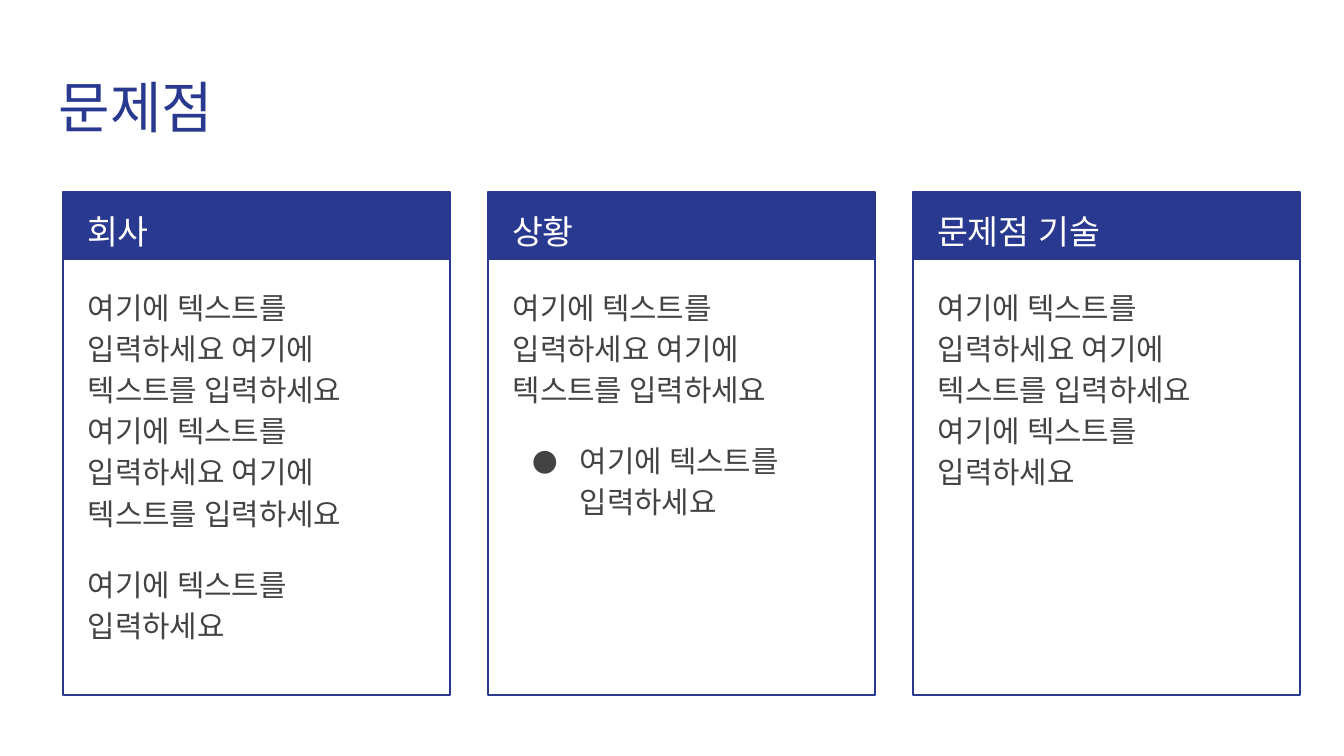
import copy

import pptx
import pptx.dml.color
import pptx.enum.shapes
import pptx.enum.text
import pptx.oxml
import pptx.oxml.ns
import pptx.util

EMU_PER_PX = 914400 / 134.4
NAVY = pptx.dml.color.RGBColor(0x2A, 0x39, 0x90)
WHITE = pptx.dml.color.RGBColor(0xFF, 0xFF, 0xFF)
GRAY = pptx.dml.color.RGBColor(0x43, 0x43, 0x43)
FONT = "Roboto"

CARD_LEFT, CARD_TOP, CARD_STEP = 63, 192, 425
CARD_WIDTH, CARD_HEIGHT, HEADER_HEIGHT = 387, 503, 68
INSET = 13
BULLET_MARGIN, BULLET_INDENT = 67, -48

PROMPT = "여기에 텍스트를 입력하세요"
# Each card: heading, then paragraphs as (text, bulleted, space before in points)
CARDS = [
    ("회사", [(" ".join([PROMPT] * 4), False, 0), (PROMPT, False, 16)]),
    ("상황", [(" ".join([PROMPT] * 2), False, 0), (PROMPT, True, 16)]),
    ("문제점 기술", [(" ".join([PROMPT] * 3), False, 0)]),
]


def px(value):
    return pptx.util.Emu(round(value * EMU_PER_PX))


def drawing_element(tag, content="", **attributes):
    """Make an element of the DrawingML namespace."""
    values = " ".join(f'{name}="{value}"' for name, value in attributes.items())
    namespace = pptx.oxml.ns.nsdecls("a")
    return pptx.oxml.parse_xml(f"<a:{tag} {namespace} {values}>{content}</a:{tag}>")


def add_body_placeholders(layout, count):
    """Extend the layout to hold count body placeholders."""
    body = layout.placeholders[1].element
    for number in range(20, 19 + count):
        extra = copy.deepcopy(body)
        extra.xpath(".//p:cNvPr")[0].set("id", str(number))
        extra.xpath(".//p:ph")[0].set("idx", str(number))
        body.getparent().append(extra)


def place(shape, left, top, width, height):
    """Position a placeholder, bring it to the front and set its frame."""
    shape.left, shape.top = px(left), px(top)
    shape.width, shape.height = px(width), px(height)
    shape.element.getparent().append(shape.element)
    frame = shape.text_frame
    frame.word_wrap = True
    frame.auto_size = pptx.enum.text.MSO_AUTO_SIZE.NONE
    frame.vertical_anchor = pptx.enum.text.MSO_ANCHOR.TOP
    frame.margin_left = frame.margin_right = px(INSET)
    frame.margin_top = frame.margin_bottom = px(INSET)


def format_paragraph(paragraph, size, color, line_spacing=1.15, space_before=0):
    paragraph.alignment = pptx.enum.text.PP_ALIGN.LEFT
    paragraph.line_spacing = line_spacing
    paragraph.space_before = pptx.util.Pt(space_before)
    paragraph.space_after = pptx.util.Pt(0)
    for run in paragraph.runs:
        run.font.size = pptx.util.Pt(size)
        run.font.name = FONT
        run.font.color.rgb = color
        latin = run._r.xpath("./a:rPr/a:latin")[0]
        latin.addnext(drawing_element("ea", typeface=FONT))


def set_bullet(paragraph, bulleted):
    properties = paragraph._p.get_or_add_pPr()
    properties.set("marL", str(px(BULLET_MARGIN if bulleted else 0)))
    properties.set("indent", str(px(BULLET_INDENT if bulleted else 0)))
    if bulleted:
        properties.append(drawing_element("buClr", f'<a:srgbClr val="{GRAY}"/>'))
        properties.append(drawing_element("buFont", typeface=FONT))
        properties.append(drawing_element("buChar", char="●"))
    else:
        properties.append(drawing_element("buNone"))


def add_rectangle(group, left, height):
    rectangle = group.shapes.add_shape(
        pptx.enum.shapes.MSO_SHAPE.RECTANGLE,
        px(left), px(CARD_TOP), px(CARD_WIDTH), px(height))
    rectangle.shadow.inherit = False
    return rectangle


def add_card_frame(slide, left):
    group = slide.shapes.add_group_shape()
    header = add_rectangle(group, left, HEADER_HEIGHT)
    header.fill.solid()
    header.fill.fore_color.rgb = NAVY
    header.line.fill.background()
    outline = add_rectangle(group, left, CARD_HEIGHT)
    outline.fill.background()
    outline.line.color.rgb = NAVY
    outline.line.width = pptx.util.Pt(0.75)


def fill_text(placeholder, entries, size, color):
    frame = placeholder.text_frame
    frame.text = "\n".join(text for text, _, _ in entries)
    for paragraph, (_, bulleted, space_before) in zip(frame.paragraphs, entries):
        format_paragraph(paragraph, size, color, space_before=space_before)
        set_bullet(paragraph, bulleted)


def main():
    presentation = pptx.Presentation()
    presentation.slide_width, presentation.slide_height = px(1344), px(756)
    layout = presentation.slide_layouts[1]
    add_body_placeholders(layout, 2 * len(CARDS))
    slide = presentation.slides.add_slide(layout)
    title, *bodies = list(slide.placeholders)

    place(title, 46, 60, 1253, 89)
    title.text_frame.text = "문제점"
    format_paragraph(title.text_frame.paragraphs[0], 30, NAVY, line_spacing=1.0)

    for index, (heading, entries) in enumerate(CARDS):
        left = CARD_LEFT + index * CARD_STEP
        heading_box, body_box = bodies[2 * index:2 * index + 2]
        add_card_frame(slide, left)
        place(heading_box, left + 11, CARD_TOP, 367, 67)
        fill_text(heading_box, [(heading, False, 0)], 18, WHITE)
        place(body_box, left + 12, 271, 364, 411)
        fill_text(body_box, entries, 16, GRAY)

    presentation.save("out.pptx")


if __name__ == "__main__":
    main()
